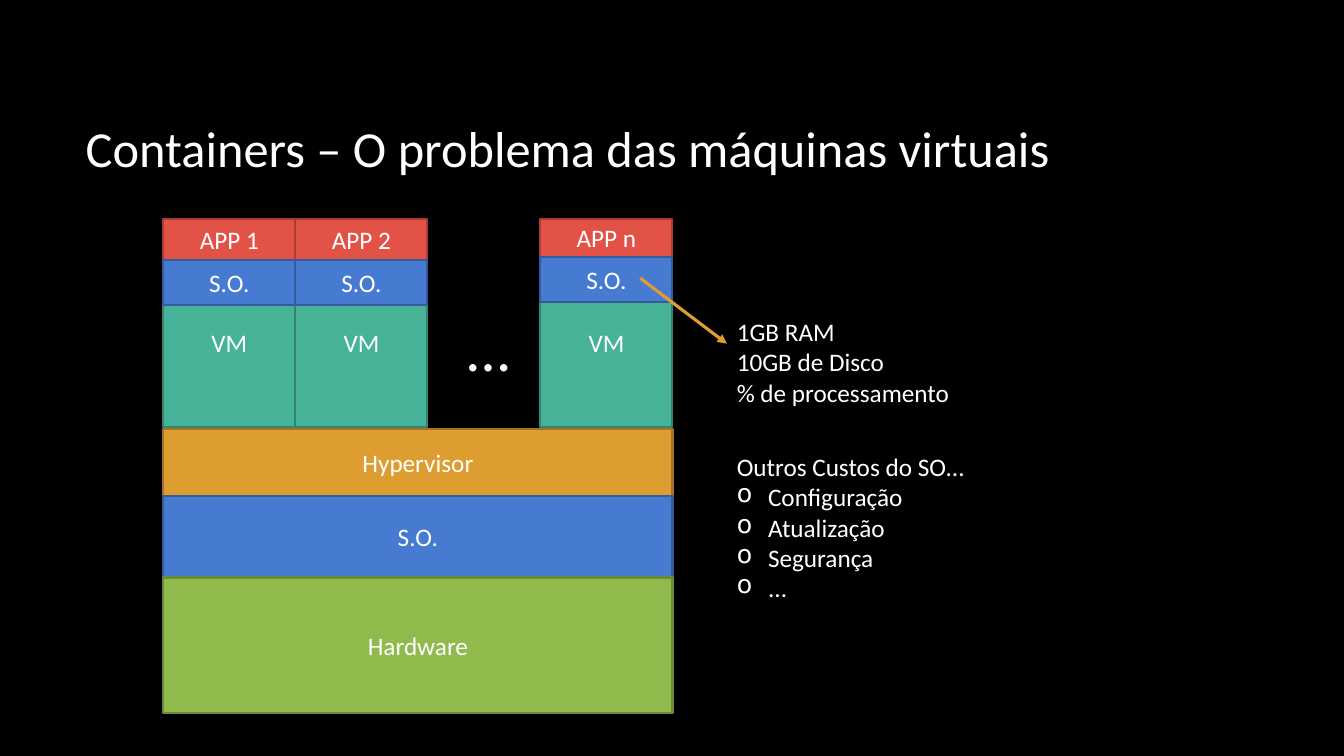
from dataclasses import dataclass

from pptx import Presentation
from pptx.dml.color import RGBColor
from pptx.enum.shapes import MSO_CONNECTOR, MSO_SHAPE
from pptx.enum.text import MSO_ANCHOR, PP_ALIGN
from pptx.oxml.ns import qn
from pptx.util import Inches, Pt

RECT = MSO_SHAPE.RECTANGLE
STRAIGHT = MSO_CONNECTOR.STRAIGHT
MIDDLE, TOP = MSO_ANCHOR.MIDDLE, MSO_ANCHOR.TOP
LEFT, CENTER = PP_ALIGN.LEFT, PP_ALIGN.CENTER


@dataclass(frozen=True)
class Theme:
    font: str = "Calibri"
    back: str = "000000"
    ink: str = "FFFFFF"
    arrow: str = "DD9D31"
    # Each layer has a fill and an edge colour
    app: tuple = ("E25247", "A73D35")
    system: tuple = ("477BD1", "355B9B")
    machine: tuple = ("46B298", "348470")
    hyper: tuple = ("DD9D31", "A37424")
    metal: tuple = ("90BA4C", "6B8A38")
    title: int = 36
    body: int = 18
    dots: int = 44
    edge: float = 1.5
    stroke: float = 2.25


THEME = Theme()


def color(code):
    return RGBColor.from_string(code)


def write(frame, lines, size=THEME.body, align=LEFT, anchor=TOP, wrap=True, bullets=()):
    """Fill a text frame; bullets holds the indexes of bulleted lines."""
    frame.word_wrap = wrap
    frame.vertical_anchor = anchor
    for i, line in enumerate(lines):
        para = frame.paragraphs[0] if i == 0 else frame.add_paragraph()
        if i in bullets:
            props = para._p.get_or_add_pPr()
            props.set("marL", str(Inches(0.31)))
            props.set("indent", str(-Inches(0.31)))
            mark = props.makeelement(qn("a:buChar"), {"char": "o"})
            props.append(mark)
        para.alignment = align
        run = para.add_run()
        run.text = line
        run.font.name = THEME.font
        run.font.size = Pt(size)
        run.font.color.rgb = color(THEME.ink)


def add_text(slide, box, lines, **form):
    area = slide.shapes.add_textbox(*map(Inches, box))
    write(area.text_frame, lines, **form)


def add_block(slide, box, label, paint):
    fill, edge = paint
    block = slide.shapes.add_shape(RECT, *map(Inches, box))
    block.shadow.inherit = False
    block.fill.solid()
    block.fill.fore_color.rgb = color(fill)
    block.line.color.rgb = color(edge)
    block.line.width = Pt(THEME.edge)
    write(block.text_frame, [label], align=CENTER, anchor=MIDDLE)


def add_title(slide, box, text):
    title = slide.shapes.title
    title.left, title.top, title.width, title.height = map(Inches, box)
    write(title.text_frame, [text], size=THEME.title, anchor=MIDDLE)


def add_host(slide, box):
    """Stack the shared layers downwards in the box."""
    left, top, width, _ = box
    layers = [
        ("Hypervisor", 0.66, THEME.hyper),
        ("S.O.", 0.81, THEME.system),
        ("Hardware", 1.34, THEME.metal),
    ]
    for label, height, paint in layers:
        add_block(slide, (left, top, width, height), label, paint)
        top += height


def add_guest(slide, box, app, cap):
    """Draw one virtual machine, with an application cap of the given height."""
    left, top, width, height = box
    head = 0.38
    add_block(slide, (left, top + head, width, height - head), "VM", THEME.machine)
    add_block(slide, (left, top, width, cap), app, THEME.app)
    add_block(slide, (left, top + cap, width, 0.45), "S.O.", THEME.system)


def add_guests(slide, box):
    left, top, width, height = box
    unit = 1.31
    guests = [
        ("APP 1", left, 0.41),
        ("APP 2", left + unit, 0.41),
        ("APP n", left + width - unit, 0.38),
    ]
    for app, x, cap in guests:
        add_guest(slide, (x, top, unit, height), app, cap)
    add_text(slide, (left + 2.92, top + 0.86, 0.63, 0.84), ["…"],
             size=THEME.dots, wrap=False)


def add_arrow(slide, start, end):
    arrow = slide.shapes.add_connector(STRAIGHT, *map(Inches, start + end))
    arrow.line.color.rgb = color(THEME.arrow)
    arrow.line.width = Pt(THEME.stroke)
    line = arrow.line._get_or_add_ln()
    line.append(line.makeelement(qn("a:tailEnd"), {"type": "triangle"}))
    props = arrow._element.spPr
    props.append(props.makeelement(qn("a:effectLst"), {}))


def add_costs(slide, box):
    left, top, width, _ = box
    add_text(slide, (left, top, width, 1.01),
             ["1GB RAM", "10GB de Disco", "% de processamento"])
    add_text(slide, (left, top + 1.34, width, 1.62),
             ["Outros Custos do SO...", "Configuração", "Atualização", "Segurança", "..."],
             bullets=range(1, 5))


def main():
    deck = Presentation()
    deck.slide_width, deck.slide_height = Inches(13.33), Inches(7.5)
    slide = deck.slides.add_slide(deck.slide_layouts[5])
    slide.background.fill.solid()
    slide.background.fill.fore_color.rgb = color(THEME.back)
    add_title(slide, (0.75, 0.67, 11.08, 1.59),
              "Containers – O problema das máquinas virtuais")
    add_host(slide, (1.62, 4.26, 5.05, 2.81))
    add_guests(slide, (1.62, 2.17, 5.05, 2.07))
    add_costs(slide, (7.21, 3.09, 5.24, 2.96))
    add_arrow(slide, (6.35, 2.76), (7.21, 3.41))
    deck.save("out.pptx")


if __name__ == "__main__":
    main()
